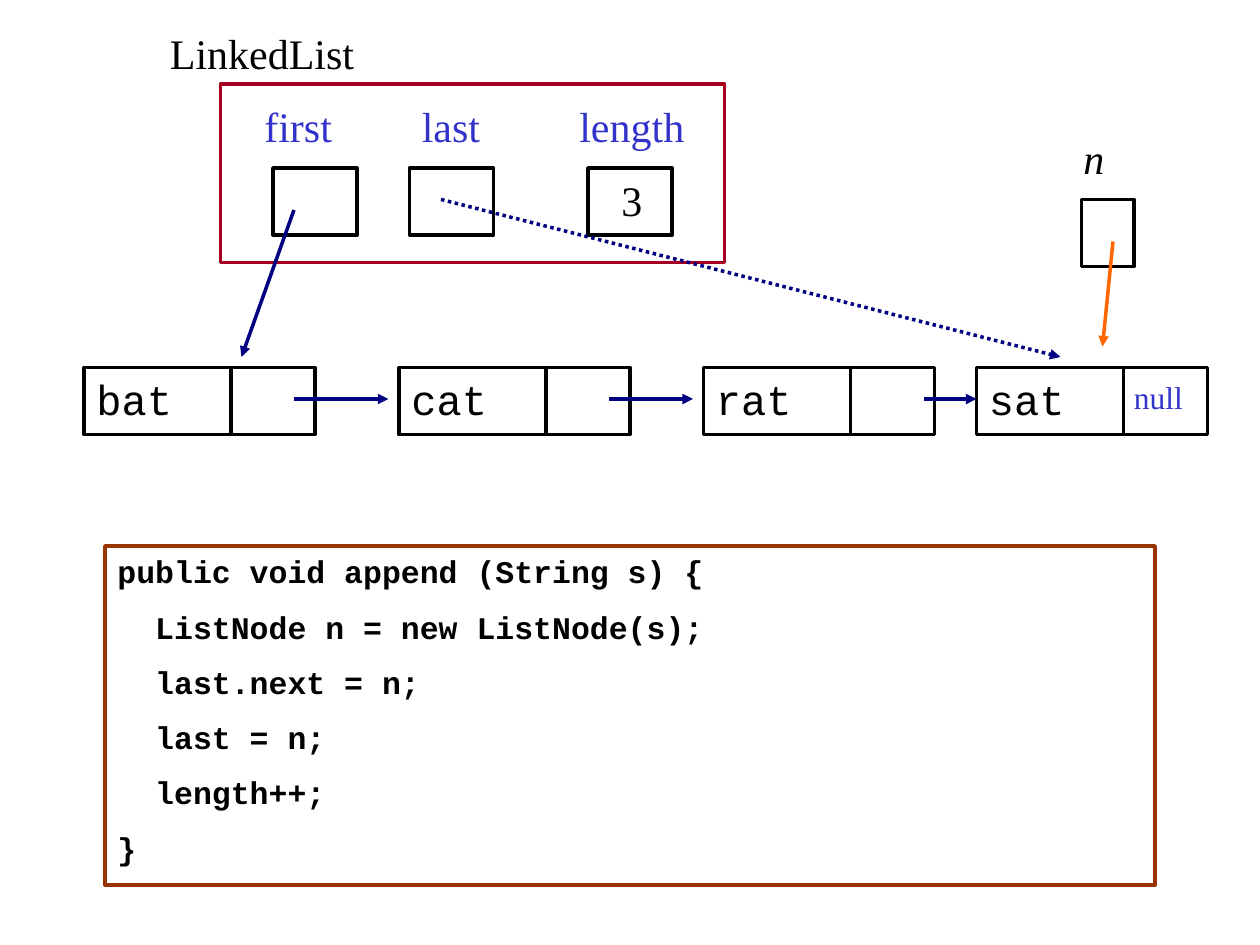
import lxml.etree
import pptx
import pptx.dml.color
import pptx.enum.dml
import pptx.enum.shapes
import pptx.enum.text
import pptx.oxml.ns
import pptx.util

PX = 7620  # EMU per px, 120 px to the inch
COLORS = {"black": "000000", "label": "3333CC", "list": "A50021",
          "code": "993300", "link": "000080", "new": "FF6600"}
SERIF, MONO = "Times New Roman", "Courier New"


def add_box(shapes, left, top, width, height, color="black"):
    box = shapes.add_shape(pptx.enum.shapes.MSO_SHAPE.RECTANGLE,
                           left * PX, top * PX, width * PX, height * PX)
    box.shadow.inherit = False
    box.fill.background()
    box.line.color.rgb = pptx.dml.color.RGBColor.from_string(COLORS[color])
    box.line.width = pptx.util.Pt(2)
    return box


def write(holder, text, font=SERIF, size=24, color="black", bold=False, italic=False):
    frame = holder.text_frame
    frame.word_wrap = True
    frame.vertical_anchor = pptx.enum.text.MSO_ANCHOR.TOP
    for number, line in enumerate(text.split("\n")):
        paragraph = frame.add_paragraph() if number else frame.paragraphs[0]
        paragraph.text = line
        paragraph.alignment = pptx.enum.text.PP_ALIGN.LEFT
        if number:
            paragraph.space_before = pptx.util.Pt(10)
        paragraph.font.name = font
        paragraph.font.size = pptx.util.Pt(size)
        paragraph.font.bold = bold
        paragraph.font.italic = italic
        paragraph.font.color.rgb = pptx.dml.color.RGBColor.from_string(COLORS[color])


presentation = pptx.Presentation()
presentation.slide_width = 1200 * PX
presentation.slide_height = 900 * PX
slide = presentation.slides.add_slide(presentation.slide_layouts[6])
shapes = slide.shapes

# List object with its three fields, and the variable n
add_box(shapes, 210, 80, 480, 170, "list")
for field_left in (260, 390, 560):
    add_box(shapes, field_left, 160, 80, 64)
add_box(shapes, 1030, 190, 50, 64)

# Nodes: a value cell and a next cell each
for value, node_left in (("bat", 80), ("cat", 380), ("rat", 670), ("sat", 930)):
    node = shapes.add_group_shape()
    write(add_box(node.shapes, node_left, 350, 140, 64), value, MONO)
    add_box(node.shapes, node_left + 140, 350, 80, 64)

# Labels
for text, left, top, width, color in (
        ("LinkedList", 150, 20, 210, "black"),
        ("first", 240, 90, 110, "label"),
        ("last", 390, 90, 110, "label"),
        ("length", 540, 90, 130, "label"),
        ("3", 580, 160, 50, "black"),
        ("n", 1020, 120, 50, "black")):
    label = shapes.add_textbox(left * PX, top * PX, width * PX, 60 * PX)
    write(label, text, color=color, italic=text == "n")

null_label = shapes.add_textbox(1080 * PX, 360 * PX, 70 * PX, 36 * PX)
write(null_label, "null", size=18, color="label")
null_frame = null_label.text_frame
null_frame.margin_left = null_frame.margin_right = 0
null_frame.margin_top = null_frame.margin_bottom = 0

# Code of the append method
append_code = """public void append (String s) {
  ListNode n = new ListNode(s);
  last.next = n;
  last = n;
  length++;
}"""
write(add_box(shapes, 100, 520, 1000, 323, "code"), append_code, MONO, 18, bold=True)

# References between fields and nodes
for x1, y1, x2, y2, color, dotted in (
        (280, 200, 230, 340, "link", False),
        (280, 380, 370, 380, "link", False),
        (580, 380, 660, 380, "link", False),
        (880, 380, 930, 380, "link", False),
        (420, 190, 1010, 340, "link", True),
        (1060, 230, 1050, 330, "new", False)):
    arrow = shapes.add_connector(pptx.enum.shapes.MSO_CONNECTOR.STRAIGHT,
                                 x1 * PX, y1 * PX, x2 * PX, y2 * PX)
    arrow.line.color.rgb = pptx.dml.color.RGBColor.from_string(COLORS[color])
    arrow.line.width = pptx.util.Pt(2)
    if dotted:
        arrow.line.dash_style = pptx.enum.dml.MSO_LINE.ROUND_DOT
    lxml.etree.SubElement(arrow.line._get_or_add_ln(),
                          pptx.oxml.ns.qn("a:tailEnd"), type="triangle")
    lxml.etree.SubElement(arrow._element.spPr, pptx.oxml.ns.qn("a:effectLst"))

presentation.save("out.pptx")
